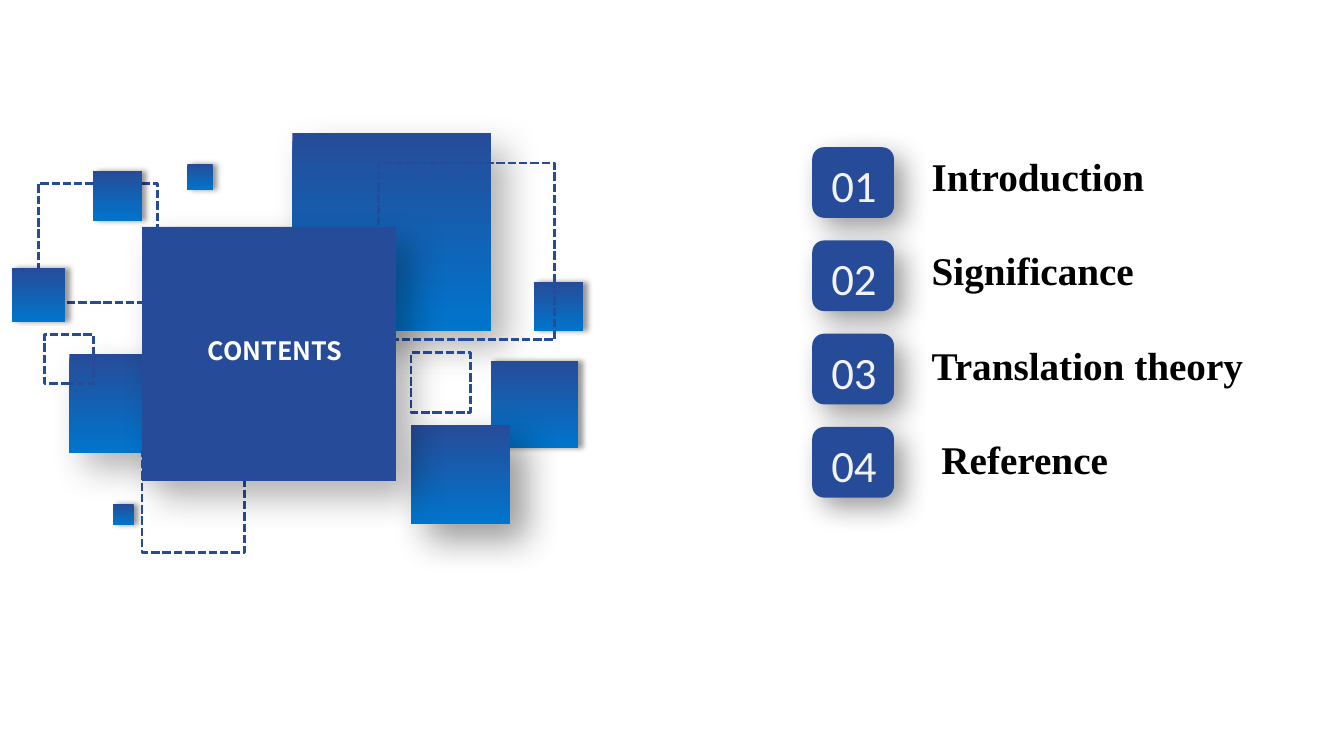
from lxml.etree import SubElement
from pptx import Presentation
from pptx.dml.color import RGBColor
from pptx.enum.dml import MSO_LINE
from pptx.enum.shapes import MSO_SHAPE
from pptx.enum.text import MSO_ANCHOR, MSO_AUTO_SIZE, PP_ALIGN
from pptx.oxml.ns import qn
from pptx.util import Cm, Pt

HUES = {"navy": "264C99", "blue": "0075CC", "pale": "F2F2F2",
        "white": "FFFFFF", "black": "000000"}

# Shadows: opacity %, blur pt, distance pt, angle in degrees
SHADES = {"thin": (40, 4, 3, 0), "deep": (30, 26, 16, 45),
          "dark": (40, 26, 16, 45), "badge": (40, 20, 10, 45)}

# Back to front: kind, left, top, width, height in cm
SQUARES = [
    ("deep", 1.75, 8.92, 2.49, 2.49),
    ("thin", 2.84, 12.7, 0.53, 0.53),
    ("dash", 3.58, 11.38, 2.59, 2.54),
    ("deep", 7.37, 3.35, 5, 5),
    ("thin", 12.37, 9.09, 2.21, 2.21),
    ("dark", 10.36, 10.72, 2.49, 2.49),
    ("thin", 13.46, 7.11, 1.24, 1.24),
    ("dash", 9.53, 4.11, 4.45, 4.45),
    ("dash", 10.36, 8.89, 1.5, 1.5),
    ("thin", 4.72, 4.14, 0.64, 0.64),
    ("dash", 1.12, 8.43, 1.24, 1.24),
    ("dash", 0.97, 4.62, 3, 3),
    ("thin", 0.3, 6.76, 1.35, 1.35),
    ("thin", 2.34, 4.32, 1.24, 1.24),
]
TOPICS = ["Introduction", "Significance", "Translation theory", " Reference"]
TOP, STEP, GAP = 3.71, 2.35, 2.38


def hue(name):
    return RGBColor.from_string(HUES[name])


def add_shade(shape, kind):
    """Give the shape the outer shadow of that kind."""
    alpha, blur, dist, angle = SHADES[kind]
    effects = shape.element.spPr.find(qn("a:effectLst"))
    outer = SubElement(effects, qn("a:outerShdw"), blurRad=str(Pt(blur)),
                       dist=str(Pt(dist)), dir=str(angle * 60000),
                       algn="tl", rotWithShape="0")
    color = SubElement(outer, qn("a:srgbClr"), val=HUES["black"])
    SubElement(color, qn("a:alpha"), val=str(alpha * 1000))


def add_block(slide, box, form=MSO_SHAPE.RECTANGLE):
    """Add a plain navy shape without line or shadow."""
    block = slide.shapes.add_shape(form, *map(Cm, box))
    block.shadow.inherit = False
    block.fill.solid()
    block.fill.fore_color.rgb = hue("navy")
    block.line.fill.background()
    return block


def add_frame(slide, box):
    """Add a dashed, unfilled square."""
    frame = add_block(slide, box)
    frame.fill.background()
    frame.line.color.rgb = hue("navy")
    frame.line.width = Pt(2)
    frame.line.dash_style = MSO_LINE.SQUARE_DOT


def add_tile(slide, box, shade):
    """Add a square that fades from navy to blue."""
    tile = add_block(slide, box)
    tile.fill.gradient()
    tile.fill.gradient_angle = 270
    for stop, name in zip(tile.fill.gradient_stops, ("navy", "blue")):
        stop.color.rgb = hue(name)
    add_shade(tile, shade)


def write(shape, text, size, font, color, bold=False):
    frame = shape.text_frame
    frame.word_wrap = True
    frame.auto_size = MSO_AUTO_SIZE.SHAPE_TO_FIT_TEXT
    frame.vertical_anchor = MSO_ANCHOR.TOP
    para = frame.paragraphs[0]
    para.alignment = PP_ALIGN.LEFT
    run = para.add_run()
    run.text = text
    run.font.size = Pt(size)
    run.font.name = font
    run.font.bold = bold
    run.font.color.rgb = hue(color)


def add_label(slide, box, *style):
    write(slide.shapes.add_textbox(*map(Cm, box)), *style)


def add_topic(slide, index, topic):
    """Add one numbered badge with its heading."""
    top = TOP + index * STEP
    badge = add_block(slide, (20.47, top, 2.06, 1.78),
                      MSO_SHAPE.ROUNDED_RECTANGLE)
    add_shade(badge, "badge")
    add_label(slide, (20.7, top + 0.14, 1.7, 1.62),
              f"{index + 1:02}", 32, "Calibri", "pale")
    add_label(slide, (23.23, TOP + index * GAP, 9, 1.45),
              topic, 28, "Times New Roman", "black", True)


def set_title(slide, text):
    """Place the title in front of the large square."""
    title = slide.shapes.title
    title.left, title.top, title.width, title.height = map(
        Cm, (4.98, 8.31, 5.38, 1.02))
    write(title, text, 18, "Noto Sans CJK SC", "white", True)
    slide.shapes.element.append(title.element)


def main():
    deck = Presentation()
    deck.slide_width, deck.slide_height = Cm(33.87), Cm(19.05)
    slide = deck.slides.add_slide(deck.slide_layouts[5])
    for kind, *box in SQUARES:
        if kind == "dash":
            add_frame(slide, box)
        else:
            add_tile(slide, box, kind)
    core = add_block(slide, (3.58, 5.72, 6.4, 6.4))
    add_shade(core, "deep")
    set_title(slide, "CONTENTS")
    for index, topic in enumerate(TOPICS):
        add_topic(slide, index, topic)
    deck.save("out.pptx")


if __name__ == "__main__":
    main()
